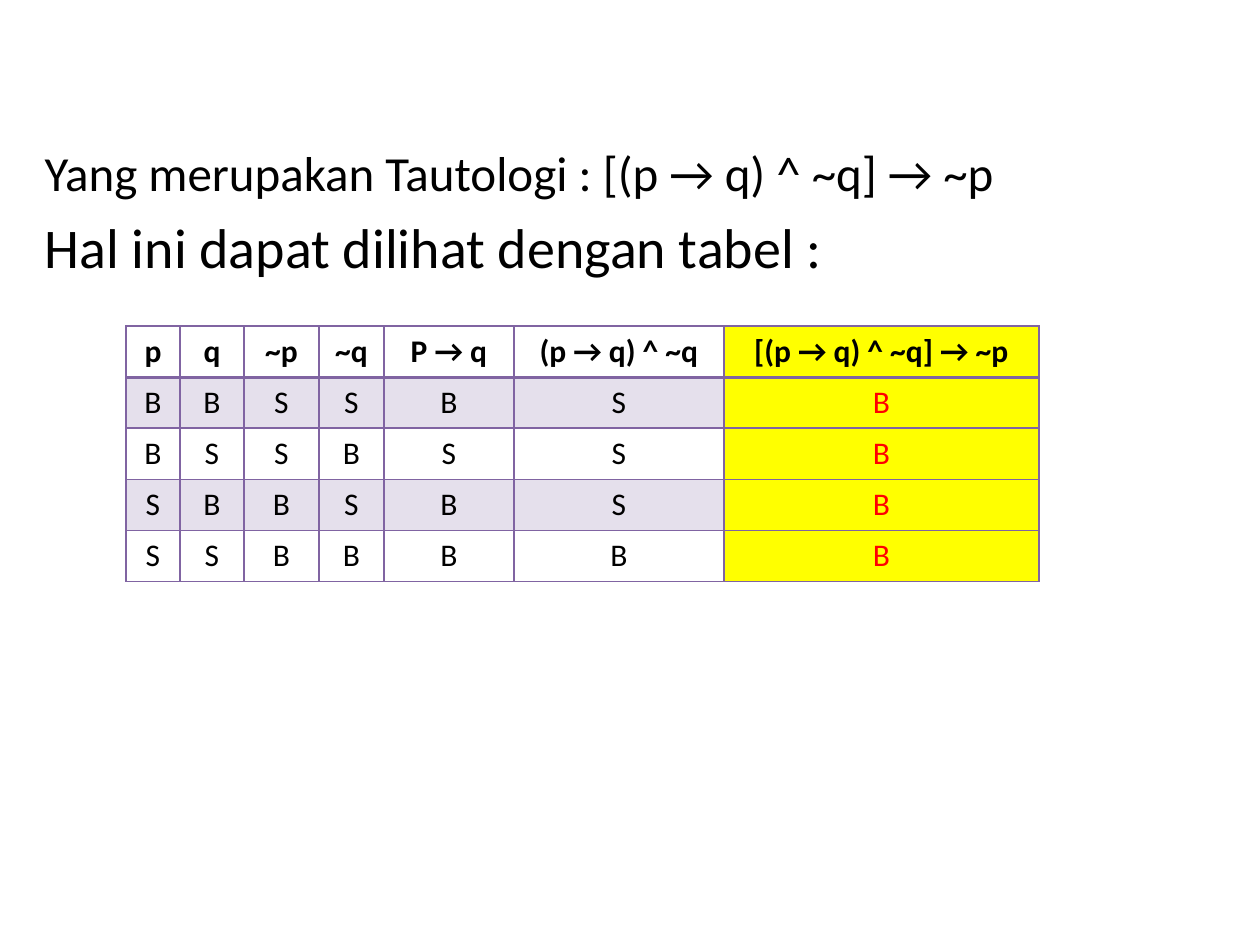
from lxml.etree import SubElement
from pptx import Presentation
from pptx.dml.color import RGBColor
from pptx.enum.text import MSO_ANCHOR, PP_ALIGN
from pptx.oxml.ns import qn
from pptx.util import Inches, Pt

EMU_PER_PIXEL = Inches(1) / 126
COLORS = {"text": "000000", "purple": "8064A2", "result": "FF0000", "highlight": "FFFF00"}


def px(length):
    return round(length * EMU_PER_PIXEL)


class SlideWriter:
    font_name = "Calibri"

    def __init__(self, slide):
        self.slide = slide

    def style(self, paragraph, size, color="text", bold=False, align=PP_ALIGN.LEFT):
        paragraph.alignment = align
        font = paragraph.font
        font.name, font.size, font.bold = self.font_name, Pt(size), bold
        font.color.rgb = RGBColor.from_string(COLORS[color])

    def body(self, placeholder, box, lines):
        placeholder.left, placeholder.top, placeholder.width, placeholder.height = map(px, box)
        frame = placeholder.text_frame
        frame.text = "\n".join(text for text, _ in lines)
        for paragraph, (_, size) in zip(frame.paragraphs, lines):
            self.style(paragraph, size)

    def borders(self, cell, widths):
        properties = cell._tc.get_or_add_tcPr()
        for side, width in widths.items():
            line = SubElement(properties, qn(f"a:ln{side}"), w=str(Pt(width)))
            fill = SubElement(line, qn("a:solidFill"))
            SubElement(fill, qn("a:srgbClr"), val=COLORS["purple"])

    def fill(self, cell, color=None, opacity=100):
        if color is None:
            cell.fill.background()
            return
        cell.fill.solid()
        cell.fill.fore_color.rgb = RGBColor.from_string(COLORS[color])
        if opacity < 100:
            tone = cell._tc.tcPr.find(qn("a:solidFill")).find(qn("a:srgbClr"))
            SubElement(tone, qn("a:alpha"), val=str(opacity * 1000))

    def truth_table(self, left, top, column_widths, row_height, rows):
        frame = self.slide.shapes.add_table(
            len(rows), len(column_widths), px(left), px(top),
            px(sum(column_widths)), px(row_height * len(rows)))
        table = frame.table
        for column, width in zip(table.columns, column_widths):
            column.width = px(width)
        for r, values in enumerate(rows):
            table.rows[r].height = px(row_height)
            for c, value in enumerate(values):
                cell = table.cell(r, c)
                is_header, is_result = r == 0, c == len(values) - 1
                cell.text = value
                cell.vertical_anchor = MSO_ANCHOR.TOP
                self.style(cell.text_frame.paragraphs[0], 18,
                           "result" if is_result and not is_header else "text",
                           is_header, PP_ALIGN.CENTER)
                # The rule under the header is twice as thick
                self.borders(cell, {"L": 1, "R": 1, "T": 2 if r == 1 else 1,
                                    "B": 2 if is_header else 1})
                if is_result:
                    self.fill(cell, "highlight")
                elif r % 2:
                    self.fill(cell, "purple", 20)
                else:
                    self.fill(cell)


presentation = Presentation()
presentation.slide_width, presentation.slide_height = Inches(10), Inches(7.5)
slide = presentation.slides.add_slide(presentation.slide_layouts[0])
writer = SlideWriter(slide)

# Only the subtitle is used on this slide
title = slide.shapes.title.element
title.getparent().remove(title)

# Statement
tautology = "[(p → q) ^ ~q] → ~p"
writer.body(slide.placeholders[1], (32, 136, 1197, 693), [
    (f"Yang merupakan Tautologi : {tautology}", 28),
    ("Hal ini dapat dilihat dengan tabel : ", 32),
])

# Truth table: B is true, S is false
headings = ["p", "q", "~p", "~q", "P → q", "(p → q) ^ ~q", tautology]
truth_values = ["BBSSBSB", "BSSBSSB", "SBBSBSB", "SSBBBBB"]
writer.truth_table(126, 326, [54, 64, 75, 65, 130, 210, 315], 51,
                   [headings, *truth_values])

presentation.save("out.pptx")
